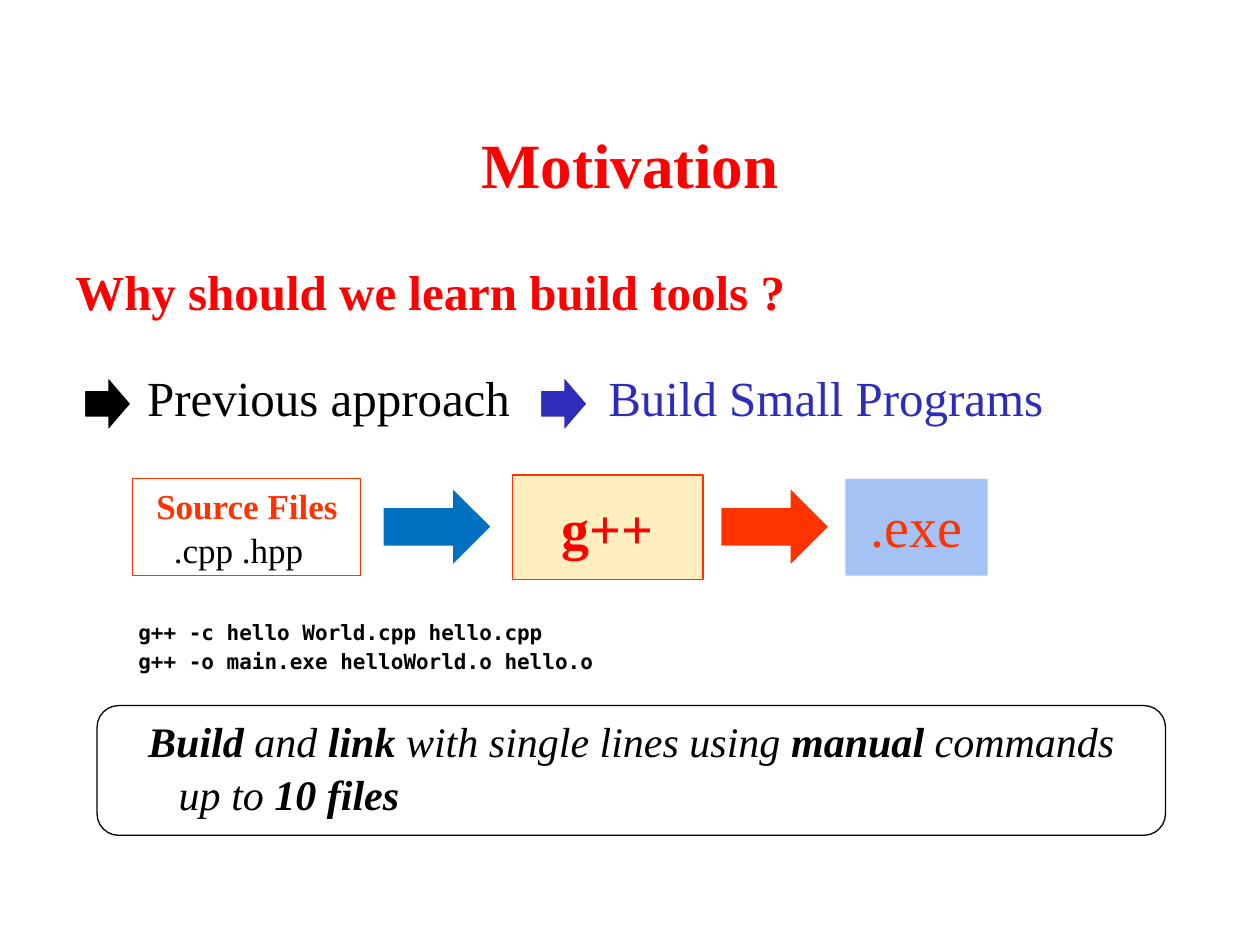
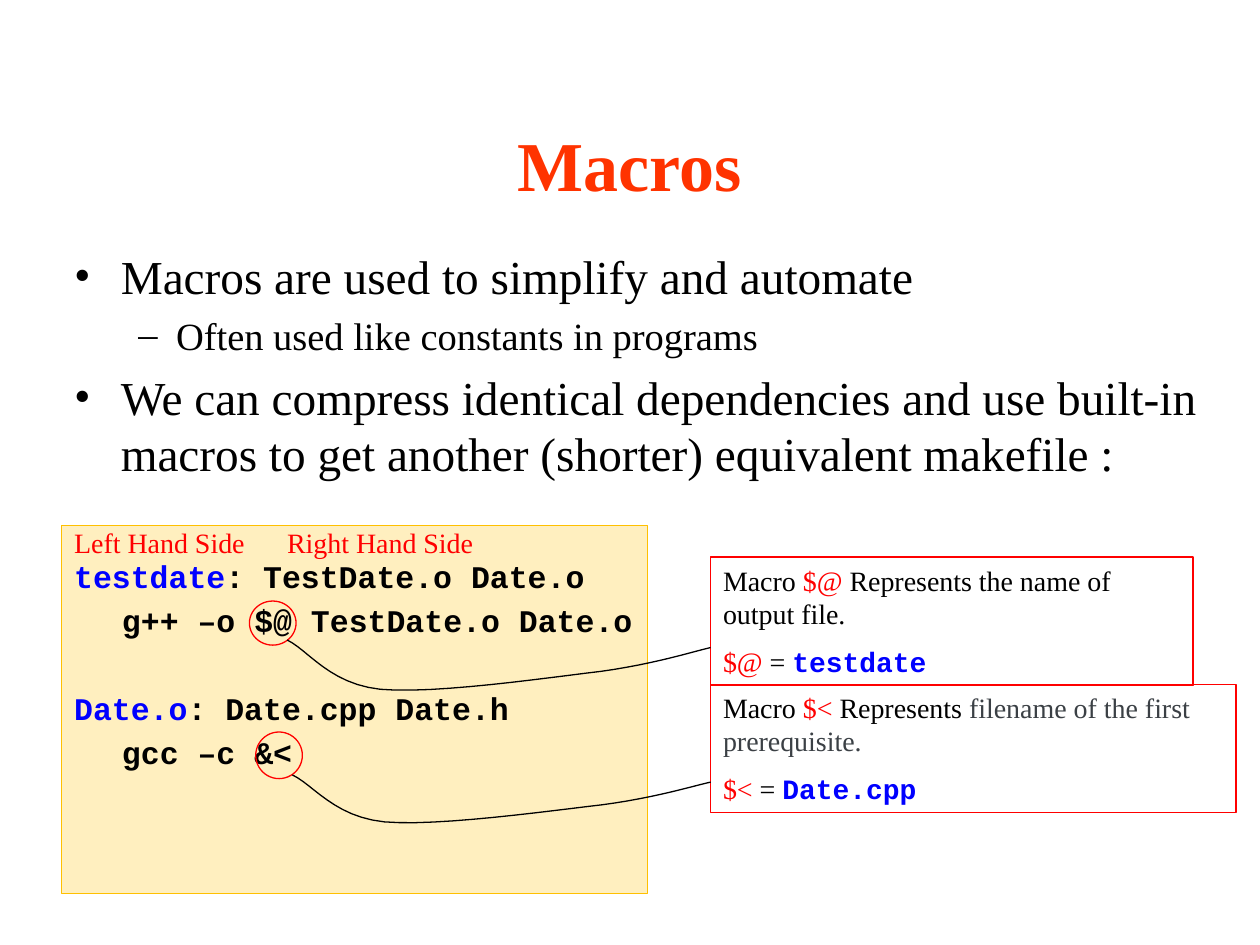
from pptx import Presentation
from pptx.dml.color import RGBColor
from pptx.enum.shapes import MSO_SHAPE as SHAPE
from pptx.enum.text import MSO_ANCHOR as ANCHOR, PP_ALIGN as ALIGN
from pptx.oxml.xmlchemy import OxmlElement
from pptx.util import Inches, Pt

COLS, ROWS = 100, 75
UNIT = Inches(10) // COLS
SERIF, COURIER, MONO = "Times New Roman", "Courier New", "DejaVu Sans Mono"
BLACK, WHITE, RED, ORANGE = "000000", "FFFFFF", "FF0000", "FF3300"
BLUE, INDIGO, AMBER, GREY = "0000FF", "2D2DB9", "FFC000", "3B4045"
BOLD, PLAIN = {"bold": True}, {"bold": False}
CODE = {"name": COURIER, "bold": True}
KEYWORD = {**CODE, "color": BLUE}
IN_RED = {"color": RED}
CURVE = [(1, .14), (.96, .21), (.87, .44), (.74, .58), (.61, .7),
         (.35, 1), (.22, .91), (.1, .81), (.05, .19), (0, 0)]


def rgb(color):
    """Turn a hex string into a colour."""
    return RGBColor.from_string(color)


def grid(*cells):
    """Turn columns and rows into lengths."""
    return [round(c * UNIT) for c in cells]


def para(*runs, **form):
    """Describe a paragraph: its runs and its format."""
    return runs, form


def add_run(p, text, style):
    """Add a run with the given font values."""
    r = p.add_run()
    r.text = text
    values = dict(style)
    r.font.color.rgb = rgb(values.pop("color", BLACK))
    values["size"] = Pt(values["size"])
    for key, value in values.items():
        setattr(r.font, key, value)


def format_para(p, line=1.0, before=0, align=ALIGN.LEFT, left=0, hang=0, bullet=None):
    """Set spacing, alignment, indents and bullet of a paragraph."""
    values = {"line_spacing": line, "space_before": Pt(before), "alignment": align}
    for key, value in values.items():
        setattr(p, key, value)
    pPr = p._p.get_or_add_pPr()
    pPr.set("marL", str(Inches(left)))
    pPr.set("indent", str(-Inches(hang)))
    if bullet:
        for tag, key, value in (("a:buFont", "typeface", SERIF), ("a:buChar", "char", bullet)):
            mark = OxmlElement(tag)
            mark.set(key, value)
            pPr.append(mark)


def write(sp, paras, size, anchor=ANCHOR.TOP, inset=(1, .5), **base):
    """Write paragraphs into a shape; runs override the base style."""
    tf = sp.text_frame
    side, edge = grid(*inset)
    frame = {"word_wrap": True, "vertical_anchor": anchor, "margin_left": side,
             "margin_right": side, "margin_top": edge, "margin_bottom": edge}
    for key, value in frame.items():
        setattr(tf, key, value)
    for i, (runs, form) in enumerate(paras):
        p = tf.add_paragraph() if i else tf.paragraphs[0]
        format_para(p, **form)
        for run in runs:
            text, style = (run, {}) if isinstance(run, str) else run
            add_run(p, text, {"name": SERIF, "size": size, **base, **style})


def add_text(s, box, paras, size, **options):
    """Add a text box."""
    write(s.shapes.add_textbox(*grid(*box)), paras, size, **options)


def paint(sp, fill=None, line=None, opacity=None):
    """Set fill and outline and remove the shadow."""
    sp.shadow.inherit = False
    if fill:
        sp.fill.solid()
        sp.fill.fore_color.rgb = rgb(fill)
    else:
        sp.fill.background()
    if opacity:
        alpha = OxmlElement("a:alpha")
        alpha.set("val", str(opacity * 1000))
        sp.fill._xPr.find(".//{*}srgbClr").append(alpha)
    if line:
        sp.line.color.rgb = rgb(line)
        sp.line.width = Pt(.75)
    else:
        sp.line.fill.background()


def add_shape(s, kind, box, **look):
    """Add a painted preset shape."""
    sp = s.shapes.add_shape(kind, *grid(*box))
    paint(sp, **look)
    return sp


def add_curve(s, left, top, width, height, steps=12):
    """Draw the callout curve inside a box."""
    points = [(left + x * width, top + y * height) for x, y in CURVE]
    track = [points[0]]
    for i in range(0, len(points) - 1, 3):
        for n in range(1, steps + 1):
            t = n / steps
            weights = ((1 - t) ** 3, 3 * t * (1 - t) ** 2, 3 * t * t * (1 - t), t ** 3)
            track.append(tuple(sum(w * pt[axis] for w, pt in zip(weights, points[i:i + 4]))
                               for axis in (0, 1)))
    track = [grid(*pt) for pt in track]
    pen = s.shapes.build_freeform(*track[0])
    pen.add_line_segments(track[1:], close=False)
    paint(pen.convert_to_shape(), line=BLACK)


def add_slide(prs, title, size, color):
    """Add a blank slide with its centred title."""
    s = prs.slides.add_slide(prs.slide_layouts[6])
    add_text(s, (7.5, 6.7, 85, 12.5), [para(title, align=ALIGN.CENTER)], size,
             anchor=ANCHOR.MIDDLE, color=color, bold=True)
    return s


def motivation(prs):
    """Build the slide on why build tools matter."""
    s = add_slide(prs, "Motivation", 36, RED)
    add_text(s, (5, 20.8, 90, 6), [para("Why should we learn build tools ?", line=.9)],
             28, color=RED, bold=True)
    for left, text_left, text, color in ((6.7, 10.7, "Previous approach", BLACK),
                                         (42.9, 47.3, "Build Small Programs", INDIGO)):
        add_shape(s, SHAPE.RIGHT_ARROW, (left, 29.9, 3.7, 4.3), fill=color, line=WHITE)
        add_text(s, (text_left, 29.2, 40, 6), [para(text, line=.9)], 28, color=color)

    sources = add_shape(s, SHAPE.RECTANGLE, (10.5, 38, 18.1, 7.7), line=ORANGE)
    write(sources, [para(("Source Files", {"bold": True, "color": ORANGE}),
                         line=.9, left=.19),
                    para(".cpp .hpp", line=.9, before=4, left=.33)], 20, inset=(0, .8))
    compiler = add_shape(s, SHAPE.RECTANGLE, (40.7, 37.7, 15.1, 8.3),
                         fill=AMBER, line=ORANGE, opacity=25)
    write(compiler, [para("g++", align=ALIGN.CENTER)], 32, anchor=ANCHOR.MIDDLE,
          inset=(1, 1), color=RED, bold=True)
    program = add_shape(s, SHAPE.RECTANGLE, (67.1, 38, 11.3, 7.7), fill="A4C2F4")
    write(program, [para(".exe", align=ALIGN.CENTER)], 32, inset=(1, 1), color=ORANGE)
    for left, color in ((30.4, "0070C0"), (57.2, ORANGE)):
        add_shape(s, SHAPE.RIGHT_ARROW, (left, 38.7, 8.6, 6.2), fill=color, line=WHITE)

    commands = ("g++ -c hello World.cpp hello.cpp", "g++ -o main.exe helloWorld.o hello.o")
    add_text(s, (10, 48.4, 60, 6), [para(c, line=1.15) for c in commands], 12,
             name=MONO, bold=True)
    summary = add_shape(s, SHAPE.ROUNDED_RECTANGLE, (7.7, 56, 84.8, 10.3), line=BLACK)
    write(summary, [
        para(("Build ", BOLD), "and ", ("link ", BOLD), "with single lines using ",
             ("manual ", BOLD), "commands", line=.9, before=4, align=ALIGN.CENTER),
        para("up to ", ("10 files", BOLD), line=.9, before=4, left=.5),
    ], 24, anchor=ANCHOR.MIDDLE, inset=(1, 1), italic=True, **PLAIN)


def macros(prs):
    """Build the slide on makefile macros."""
    s = add_slide(prs, "Macros", 40, ORANGE)
    add_shape(s, SHAPE.RECTANGLE, (4.9, 41.7, 46.5, 29.2), fill=AMBER, line=AMBER, opacity=25)
    item = {"left": .37, "hang": .37, "bullet": "•"}
    add_text(s, (4.9, 19.1, 92.9, 21), [
        para("Macros are used to simplify and automate", **item),
        para(("Often used like constants in programs", {"size": 22}),
             before=4.8, left=.81, hang=.3, bullet="–"),
        para("We can compress identical dependencies and use built-in macros "
             "to get another (shorter) equivalent makefile :", before=5.6, **item),
    ], 27)

    rules = (("testdate", ": TestDate.o Date.o", "g++ –o $@ TestDate.o Date.o"),
             ("Date.o", ": Date.cpp Date.h", "gcc –c &<"))
    for i, (target, needs, command) in enumerate(rules):
        add_text(s, (4.9, 43.7 + 10.5 * i, 50, 8),
                 [para((target, KEYWORD), needs), para(command, before=3.6, left=.38)],
                 18, **CODE)

    notes = (
        ((19.8, 47.7, 3.7, 3.5), (56.4, 44.2, 38.3, 10.2), (22.8, 50.8, 33.6, 4.3),
         "$@", "the name of output file.", BLACK, "testdate"),
        ((20.3, 58.1, 3.7, 3.7), (56.4, 54.3, 41.7, 10.2), (23.2, 61.5, 33.2, 4.1),
         "$<", "filename of the first prerequisite.", GREY, "Date.cpp"),
    )
    for ring, box, curve, macro, meaning, color, value in notes:
        add_shape(s, SHAPE.OVAL, ring, line=RED)
        note = add_shape(s, SHAPE.RECTANGLE, box, line=RED)
        write(note, [
            para("Macro ", (macro, IN_RED), " Represents ", (meaning, {"color": color})),
            para((macro, IN_RED), " = ", (value, KEYWORD), before=8),
        ], 16)
        add_curve(s, *curve)

    for left, side in ((4.9, "Left"), (21.8, "Right")):
        add_text(s, (left, 40.7, 25, 5.3), [para(f"{side} Hand Side")], 16,
                 inset=(1, 1), color=RED)


def main():
    """Build and save the presentation."""
    prs = Presentation()
    prs.slide_width, prs.slide_height = COLS * UNIT, ROWS * UNIT
    motivation(prs)
    macros(prs)
    prs.save("out.pptx")


if __name__ == "__main__":
    main()
